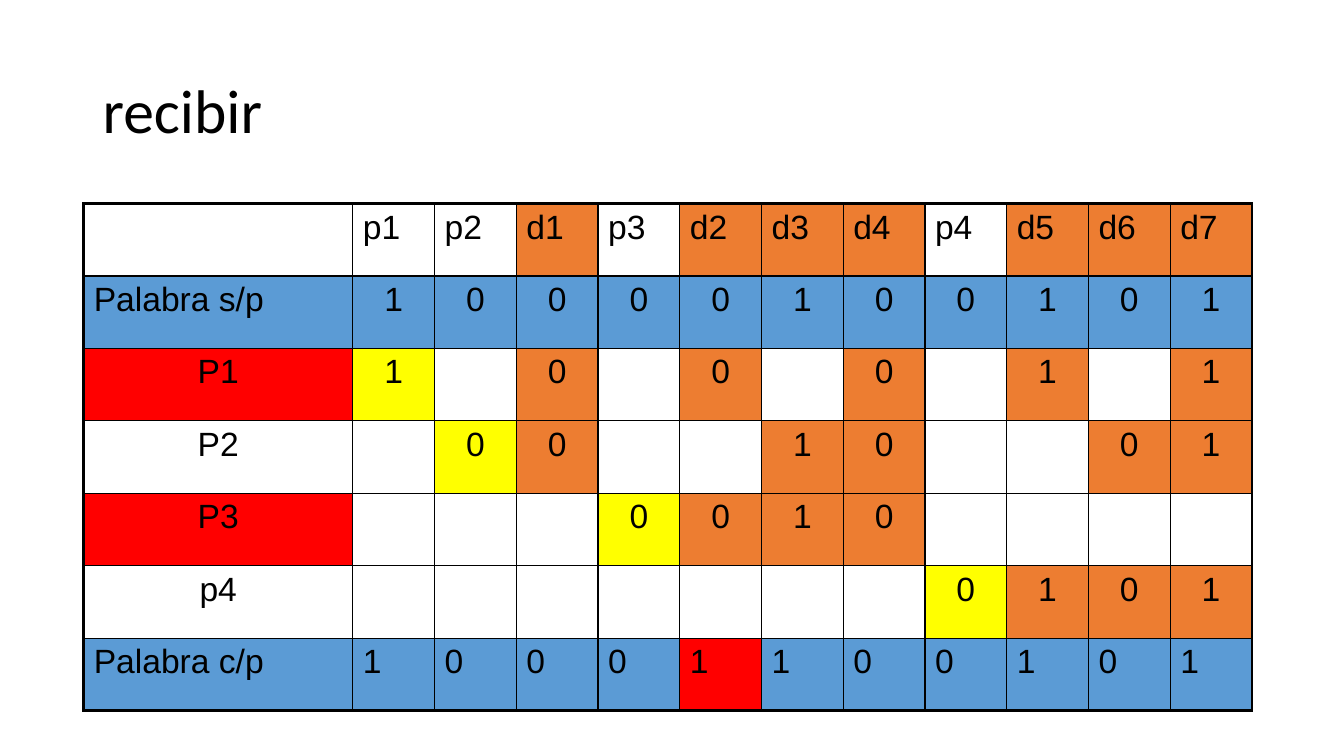
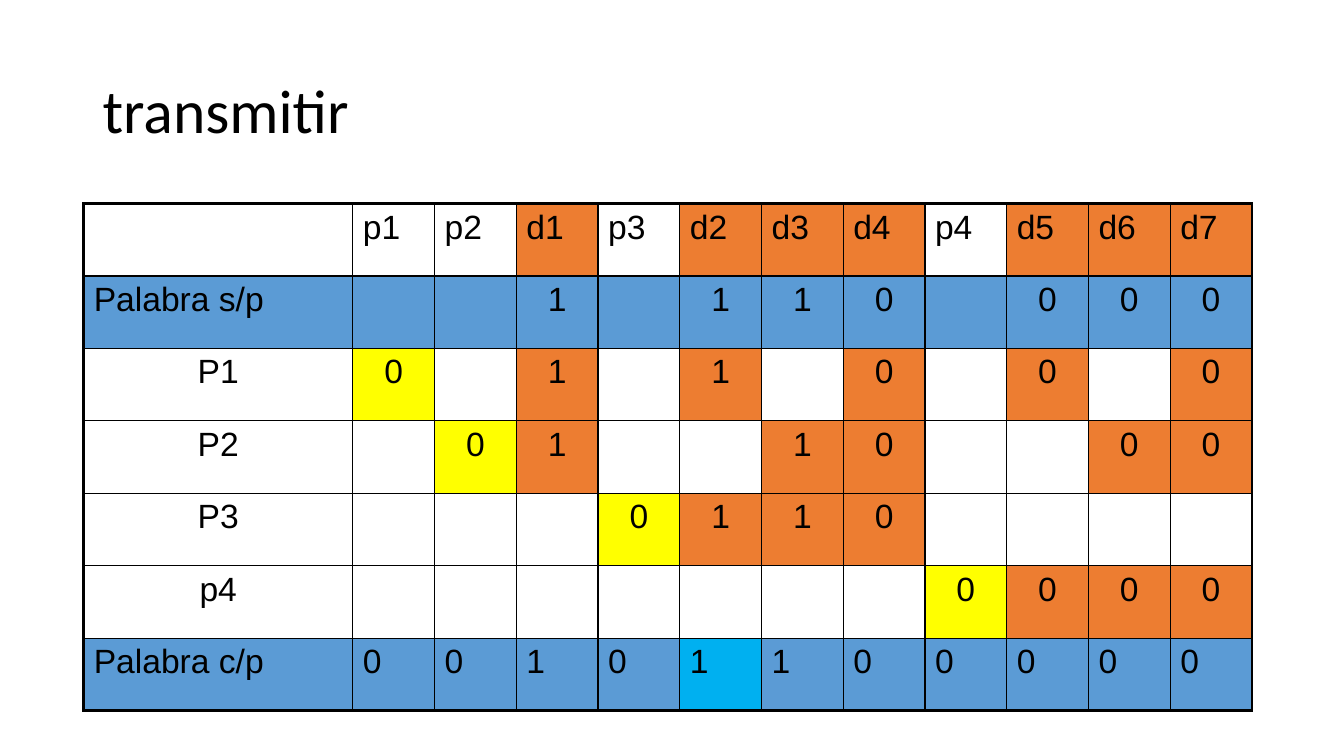
from lxml.etree import SubElement
from pptx import Presentation
from pptx.dml.color import RGBColor
from pptx.enum.text import MSO_ANCHOR, PP_ALIGN
from pptx.oxml.ns import qn
from pptx.util import Inches, Pt

BLACK = RGBColor(0x00, 0x00, 0x00)
WHITE = RGBColor(0xFF, 0xFF, 0xFF)
ORANGE = RGBColor(0xED, 0x7D, 0x31)
BLUE = RGBColor(0x5B, 0x9B, 0xD5)
YELLOW = RGBColor(0xFF, 0xFF, 0x00)
RED = RGBColor(0xFF, 0x00, 0x00)
SKY = RGBColor(0x00, 0xB0, 0xF0)

BIT_NAMES = ["p1", "p2", "d1", "p3", "d2", "d3", "d4", "p4", "d5", "d6", "d7"]
PARITY_NAMES = ["P1", "P2", "P3", "p4"]
TABLE_WIDTH, TABLE_HEIGHT, LABEL_WIDTH = 11.59, 5.03, 2.67
THIN, THICK = Pt(1), Pt(2.25)


def write_text(frame, text, font="Arial", size=24, align=PP_ALIGN.LEFT, spacing=1.0):
    """Put one formatted paragraph into a text frame."""
    para = frame.paragraphs[0]
    para.alignment = align
    para.line_spacing = spacing
    span = para.add_run()
    span.text = text
    span.font.name = font
    span.font.size = Pt(size)
    span.font.color.rgb = BLACK


def add_title(page, text):
    """Add the slide title."""
    box = page.shapes.add_textbox(Inches(0.92), Inches(0.4), Inches(11.5), Inches(1.45))
    box.text_frame.word_wrap = True
    box.text_frame.vertical_anchor = MSO_ANCHOR.MIDDLE
    write_text(box.text_frame, text, font="Calibri", size=44, spacing=0.9)


def set_borders(cell, **widths):
    """Draw black cell borders, one keyword per side (L, R, T, B)."""
    properties = cell._tc.get_or_add_tcPr()
    for side, width in widths.items():
        line = SubElement(properties, qn(f"a:ln{side}"), w=str(width))
        fill = SubElement(line, qn("a:solidFill"))
        SubElement(fill, qn("a:srgbClr"), val=str(BLACK))


def hamming_rows(bare_word, checked_word, coded_word):
    """Return table rows of (text, fill, alignment) for a Hamming code."""
    left, center = PP_ALIGN.LEFT, PP_ALIGN.CENTER
    header = [(name, ORANGE if name[0] == "d" else WHITE, left) for name in BIT_NAMES]
    rows = [
        [("", WHITE, left)] + header,
        [("Palabra s/p", BLUE, left)] + [(bit.strip(), BLUE, center) for bit in bare_word],
    ]
    for index, name in enumerate(PARITY_NAMES):
        row = [(name, WHITE, center)]
        for position, bit in enumerate(checked_word, start=1):
            if position == 2 ** index:
                row.append((bit, YELLOW, center))
            elif position & 2 ** index:
                row.append((bit, ORANGE, center))
            else:
                row.append(("", WHITE, center))
        rows.append(row)
    rows.append([("Palabra c/p", BLUE, left)] + [(bit, BLUE, left) for bit in coded_word])
    return rows


def add_bit_table(page, rows, highlights):
    """Add the table; highlights maps (row, column) to a fill."""
    last_row, last_column = len(rows) - 1, len(rows[0]) - 1
    table = page.shapes.add_table(
        len(rows), len(rows[0]), Inches(0.83), Inches(2.02),
        Inches(TABLE_WIDTH), Inches(TABLE_HEIGHT)).table
    table.first_row = table.horz_banding = False
    for index, column in enumerate(table.columns):
        bit_width = (TABLE_WIDTH - LABEL_WIDTH) / last_column
        column.width = Inches(bit_width if index else LABEL_WIDTH)
    for r, row in enumerate(rows):
        table.rows[r].height = Inches(TABLE_HEIGHT / len(rows))
        for c, (text, fill, align) in enumerate(row):
            cell = table.cell(r, c)
            set_borders(
                cell,
                L=THICK if c == 0 else THIN, R=THICK if c == last_column else THIN,
                T=THICK if r == 0 else THIN, B=THICK if r == last_row else THIN)
            cell.fill.solid()
            cell.fill.fore_color.rgb = highlights.get((r, c), fill)
            if text:
                write_text(cell.text_frame, text, align=align)


def add_code_slide(deck, title, words, highlights):
    """Add a slide with a title and its Hamming table."""
    page = deck.slides.add_slide(deck.slide_layouts[6])
    add_title(page, title)
    add_bit_table(page, hamming_rows(*words), highlights)


def main():
    """Build and save the deck."""
    deck = Presentation()
    deck.slide_width, deck.slide_height = Inches(13.33), Inches(7.5)
    received, sent = "10000100101", "00101100000"
    add_code_slide(deck, "recibir", (received, received, "10001100101"),
                   {(2, 0): RED, (4, 0): RED, (6, 5): RED})
    add_code_slide(deck, "transmitir", ("  1 110 000", sent, sent), {(6, 5): SKY})
    deck.save("out.pptx")


main()
